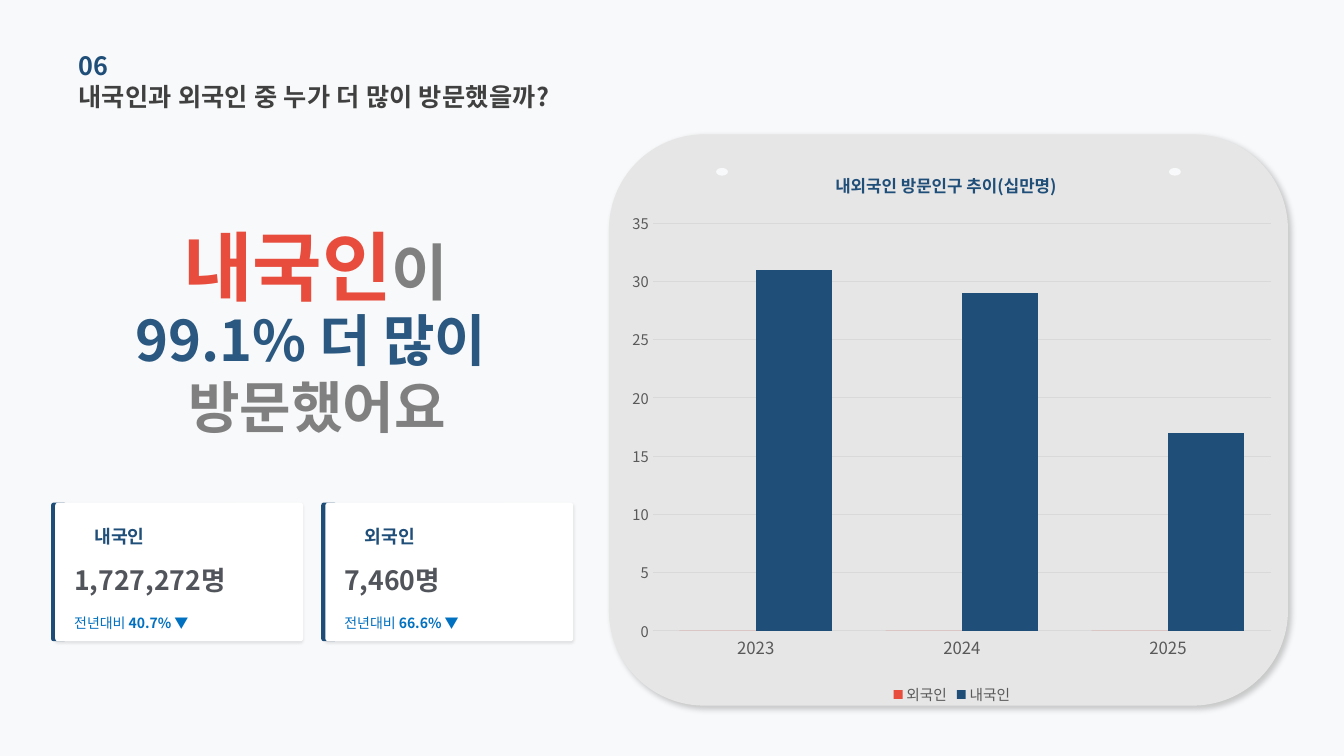
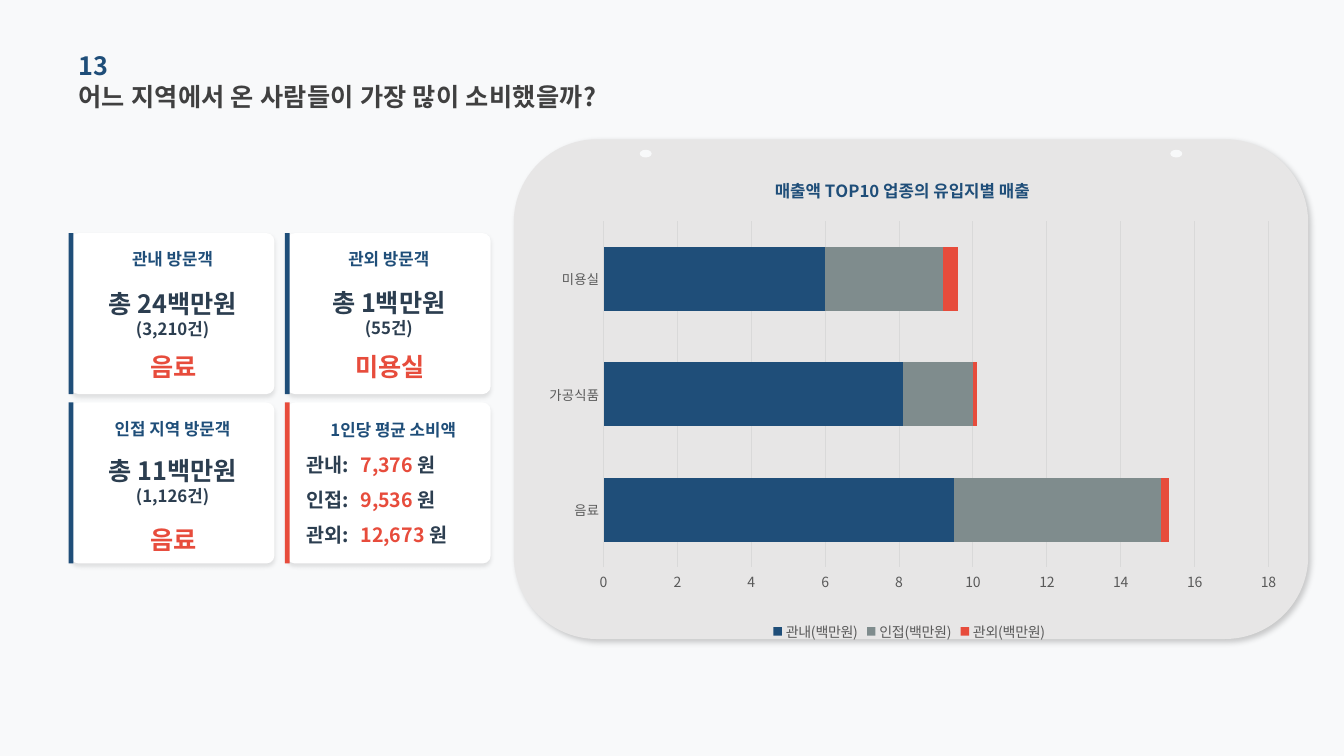
import lxml.etree
import pptx
import pptx.chart.data
import pptx.dml.color
import pptx.enum.chart
import pptx.enum.shapes
import pptx.enum.text
import pptx.oxml.ns
import pptx.util

Pt = pptx.util.Pt
qn = pptx.oxml.ns.qn
SHAPE = pptx.enum.shapes.MSO_SHAPE
ALIGN = pptx.enum.text.PP_ALIGN
KIND = pptx.enum.chart.XL_CHART_TYPE
FACE = "Noto Sans CJK KR"
NAVY, RED, INK = "1F4E79", "E74C3C", "2C3E50"
PAPER, PANEL, WHITE = "F8F9FA", "E7E6E6", "FFFFFF"
GREY, MID, DARK = "7F8C8D", "595959", "404040"
SOFT, BLUE, STEEL = "808080", "0070C0", "2B5880"
SLATE, RULE = "51545A", "D9D9D9"


def color(code):
    """Turn a hex string into a colour."""
    return pptx.dml.color.RGBColor.from_string(code)


def style(font, size, code, bold=False):
    """Set face, size, colour and weight of a font."""
    font.name = FACE
    font.size = Pt(size)
    font.bold = bold
    font.color.rgb = color(code)


def eastern(root):
    """Use the same face for Korean letters as for Latin ones."""
    for latin in list(root.iter(qn("a:latin"))):
        if latin.get("typeface") == FACE:
            ea = lxml.etree.Element(qn("a:ea"), typeface=FACE)
            latin.addnext(ea)


def text(slide, box, lines, align=ALIGN.LEFT):
    """Write lines of (text, size, colour, bold) runs in a box."""
    item = slide.shapes.add_textbox(*map(Pt, box))
    frame = item.text_frame
    frame.word_wrap = True
    frame.vertical_anchor = pptx.enum.text.MSO_ANCHOR.MIDDLE
    frame.margin_left = frame.margin_right = 0
    frame.margin_top = frame.margin_bottom = 0
    for index, runs in enumerate(lines):
        para = frame.add_paragraph() if index else frame.paragraphs[0]
        para.alignment = align
        style(para.font, *runs[0][1:])
        for words, *look in runs:
            run = para.add_run()
            run.text = words
            if look != list(runs[0][1:]):
                style(run.font, *look)
    return item


def shape(slide, kind, box, code, round=None, shade=None):
    """Draw a plain filled shape, with a shadow if one is given."""
    item = slide.shapes.add_shape(kind, *map(Pt, box))
    item.fill.solid()
    item.fill.fore_color.rgb = color(code)
    item.line.fill.background()
    item.shadow.inherit = False
    if round is not None:
        item.adjustments[0] = round
    if shade:
        alpha, blur, dist, angle = shade
        effects = item.element.spPr.find(qn("a:effectLst"))
        outer = lxml.etree.SubElement(
            effects, qn("a:outerShdw"), blurRad=str(Pt(blur)),
            dist=str(Pt(dist)), dir=str(angle * 60000),
            algn="ctr", rotWithShape="0")
        tint = lxml.etree.SubElement(outer, qn("a:srgbClr"), val="000000")
        lxml.etree.SubElement(tint, qn("a:alpha"), val=str(alpha * 1000))


def page(deck, number, title):
    """Add a slide with background, number and spaced title."""
    slide = deck.slides.add_slide(deck.slide_layouts[6])
    slide.background.fill.solid()
    slide.background.fill.fore_color.rgb = color(PAPER)
    text(slide, (56, 31.5, 325, 30), [[(number, 18, NAVY, True)]])
    head = text(slide, (56, 54, 440, 30), [[(title, 18, DARK, True)]])
    for look in head.element.iter(qn("a:defRPr")):
        look.set("spc", "20")
    return slide


def panel(slide, box, inset, drop):
    """Draw the grey board with its two holes."""
    left, top, width, height = box
    shape(slide, SHAPE.ROUNDED_RECTANGLE, box, PANEL, shade=(20, 4, 3, 45))
    for x in (left + inset, left + width - inset - 8.5):
        shape(slide, SHAPE.OVAL, (x, top + drop, 8.5, 5.5), PAPER)


def place(parent, after, **spots):
    """Give a chart part a manual layout."""
    layout = parent.find(qn("c:layout"))
    if layout is None:
        layout = lxml.etree.Element(qn("c:layout"))
        if after is None:
            parent.insert(0, layout)
        else:
            parent.find(qn(after)).addnext(layout)
    manual = lxml.etree.SubElement(layout, qn("c:manualLayout"))
    for name, value in spots.items():
        lxml.etree.SubElement(manual, qn("c:" + name), val=str(value))


def chart(slide, box, kind, title, cats, series, plot, sizes, top, step, gap):
    """Draw a bar chart with title, legend and fixed plot area."""
    data = pptx.chart.data.CategoryChartData()
    data.categories = cats
    for name, values, _ in series:
        data.add_series(name, values)
    graph = slide.shapes.add_chart(kind, *map(Pt, box), data).chart
    cat, val, key = sizes
    style(graph.font, 10, MID)
    graph.has_title = True
    para = graph.chart_title.text_frame.paragraphs[0]
    run = para.add_run()
    run.text = title
    style(run.font, 12, NAVY, True)
    place(graph.chart_title.element, "c:tx",
          xMode="edge", yMode="edge", x=0.32, y=0.03)
    graph.has_legend = True
    graph.legend.position = pptx.enum.chart.XL_LEGEND_POSITION.BOTTOM
    graph.legend.include_in_layout = False
    style(graph.legend.font, key, MID)
    for axis, size in ((graph.category_axis, cat), (graph.value_axis, val)):
        axis.major_tick_mark = pptx.enum.chart.XL_TICK_MARK.NONE
        axis.minor_tick_mark = pptx.enum.chart.XL_TICK_MARK.NONE
        style(axis.tick_labels.font, size, MID)
    axis.minimum_scale, axis.maximum_scale, axis.major_unit = 0, top, step
    axis.format.line.fill.background()
    axis.has_major_gridlines = True
    for line in (axis.major_gridlines.format.line,
                 graph.category_axis.format.line):
        line.color.rgb = color(RULE)
        line.width = Pt(0.75)
    bars = graph.plots[0]
    bars.vary_by_categories = False
    bars.gap_width = gap
    bars.overlap = 100 if kind == KIND.BAR_STACKED else 0
    for part, (_, _, code) in zip(bars.series, series):
        part.format.fill.solid()
        part.format.fill.fore_color.rgb = color(code)
    area = graph.element.find(".//" + qn("c:plotArea"))
    x, y, w, h = plot
    place(area, None, layoutTarget="inner", xMode="edge", yMode="edge",
          x=x, y=y, w=w, h=h)
    eastern(graph.element)


def count(slide, box, name, total, change):
    """Draw a visitor card with total and change on the year."""
    left, top, width, height = box
    shape(slide, SHAPE.ROUNDED_RECTANGLE,
          (left - 3, top, 11, height), NAVY)
    shape(slide, SHAPE.ROUNDED_RECTANGLE, box, WHITE, 0.02, (10, 2, 1, 90))
    text(slide, (left + 28, top + 14, 100, 20), [[(name, 13, NAVY, True)]])
    text(slide, (left + 13.5, top + 41, 160, 28), [[(total, 19, SLATE, True)]])
    text(slide, (left + 13.5, top + 70, 160, 32),
         [[("전년대비 ", 10, BLUE, False), (change, 10, BLUE, True)]])


def card(slide, box, code):
    """Draw a white card with a coloured left edge."""
    left, top, _, height = box
    shape(slide, SHAPE.ROUNDED_RECTANGLE, box, WHITE, 0.05, (10, 3, 2, 90))
    shape(slide, SHAPE.RECTANGLE, (left - 1.5, top, 3.5, height), code)


def spend(slide, box, name, total, cases, item, main, foot):
    """Draw a spending card for one group of visitors."""
    left, top, width, _ = box
    card(slide, box, NAVY)
    rows = ((0, 7.5, 22, [[(name, 12, NAVY, True)]]),
            (0, main, 34, [[(total, 18, INK, True)], [(cases, 12, INK, True)]]),
            (1, foot, 34, [[(item, 18, RED, True)]]))
    for shift, down, height, lines in rows:
        text(slide, (left + shift, top + down, width, height), lines,
             ALIGN.CENTER)


def mean(slide, box, name, rows):
    """Draw the card of spending per person."""
    left, top, _, _ = box
    card(slide, box, RED)
    text(slide, (left + 31, top + 10.5, 112, 18), [[(name, 12, NAVY, True)]])
    for index, (group, sum) in enumerate(rows):
        y = top + 33.5 + 25 * index
        text(slide, (left + 14, y, 40, 22), [[(group, 14, INK, True)]])
        text(slide, (left + 52.5, y, 90, 22),
             [[(sum + " ", 14, RED, True), ("원", 14, INK, True)]])


def visits(deck):
    """Build the slide on local and foreign visitors."""
    slide = page(deck, "06", "내국인과 외국인 중 누가 더 많이 방문했을까?")
    panel(slide, (435, 96, 485, 408), 76.5, 24)
    text(slide, (71, 172.5, 309, 34),
         [[("내국인", 54, RED, True), ("이", 44, SOFT, True)]], ALIGN.CENTER)
    text(slide, (27.5, 236, 398, 60),
         [[("99.1% 더 많이 ", 40, STEEL, True)],
          [("방문했어요", 40, SOFT, True)]], ALIGN.CENTER)
    cards = (("내국인", "1,727,272명", "40.7% ▼"),
             ("외국인", "7,460명", "66.6% ▼"))
    for index, words in enumerate(cards):
        count(slide, (39.5 + 193 * index, 359, 177, 99), *words)
    chart(slide, (442.5, 107.5, 475, 399), KIND.COLUMN_CLUSTERED,
          "내외국인 방문인구 추이(십만명)", ("2023", "2024", "2025"),
          (("외국인", (0, 0, 0), RED),
           ("내국인", (31, 29, 17), NAVY)),
          (0.05, 0.13, 0.93, 0.73), (12, 10.5, 10.5), 35, 5, 70)
    eastern(slide.element)


def sales(deck):
    """Build the slide on spending by region."""
    slide = page(deck, "13", "어느 지역에서 온 사람들이 가장 많이 소비했을까?")
    panel(slide, (367, 99.5, 567.5, 357), 90, 7.5)
    boxes = [(50.5 + 154.5 * col, 166.5 + 121 * row, 145.5, 115)
             for row in range(2) for col in range(2)]
    groups = (("관내 방문객", "총 24백만원", "(3,210건)", "음료", 40.5, 78.5),
              ("관외 방문객", "총 1백만원", "(55건)", "미용실", 40, 78.5),
              ("인접 지역 방문객", "총 11백만원", "(1,126건)", "음료", 38.5, 81))
    for box, words in zip(boxes, groups):
        spend(slide, box, *words)
    mean(slide, boxes[3], "1인당 평균 소비액",
         (("관내:", "7,376"), ("인접:", "9,536"), ("관외:", "12,673")))
    chart(slide, (376.5, 113, 546, 348), KIND.BAR_STACKED,
          "매출액 TOP10 업종의 유입지별 매출", ("음료", "가공식품", "미용실"),
          (("관내(백만원)", (9.5, 8.1, 6), NAVY),
           ("인접(백만원)", (5.6, 1.9, 3.2), GREY),
           ("관외(백만원)", (0.2, 0.1, 0.4), RED)),
          (0.1, 0.13, 0.87, 0.71), (9.5, 10, 10), 18, 2, 80)
    eastern(slide.element)


def main():
    """Build and save the deck."""
    deck = pptx.Presentation()
    deck.slide_width, deck.slide_height = Pt(960), Pt(540)
    visits(deck)
    sales(deck)
    deck.save("out.pptx")


if __name__ == "__main__":
    main()
